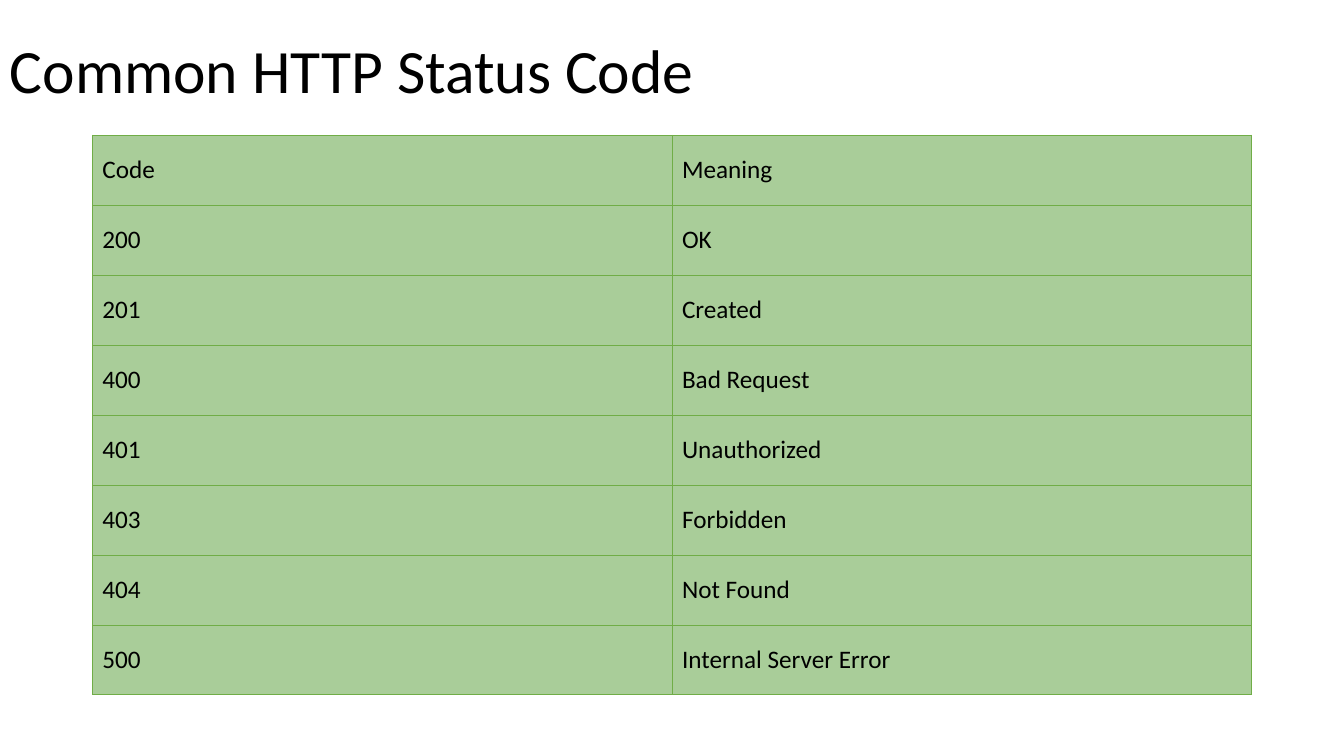
from dataclasses import dataclass

from lxml import etree
from pptx import Presentation
from pptx.dml.color import RGBColor
from pptx.enum.text import MSO_ANCHOR
from pptx.oxml.ns import qn
from pptx.util import Pt

MIDDLE = MSO_ANCHOR.MIDDLE
BLANK = 6


@dataclass(frozen=True)
class Theme:
    font: str = "Calibri"
    ink: str = "000000"
    fill: str = "A9CD99"
    line: str = "70AD47"
    rule: float = 0.5
    title: float = 44
    body: float = 18


THEME = Theme()

CODES = [
    ("Code", "Meaning"),
    ("200", "OK"),
    ("201", "Created"),
    ("400", "Bad Request"),
    ("401", "Unauthorized"),
    ("403", "Forbidden"),
    ("404", "Not Found"),
    ("500", "Internal Server Error"),
]


def set_text(frame, text, size):
    frame.text = text
    font = frame.paragraphs[0].runs[0].font
    font.name = THEME.font
    font.size = Pt(size)
    font.color.rgb = RGBColor.from_string(THEME.ink)


def set_edges(cell):
    props = cell._tc.get_or_add_tcPr()
    for spot, side in enumerate(("a:lnL", "a:lnR", "a:lnT", "a:lnB")):
        edge = etree.Element(qn(side), w=str(Pt(THEME.rule)))
        fill = etree.SubElement(edge, qn("a:solidFill"))
        etree.SubElement(fill, qn("a:srgbClr"), val=THEME.line)
        props.insert(spot, edge)


def add_title(slide, text, left, top, width, height):
    box = slide.shapes.add_textbox(Pt(left), Pt(top), Pt(width), Pt(height))
    frame = box.text_frame
    frame.word_wrap = True
    frame.vertical_anchor = MIDDLE
    set_text(frame, text, THEME.title)
    frame.paragraphs[0].line_spacing = 0.9


def add_grid(slide, rows, left, top, width, height):
    frame = slide.shapes.add_table(
        len(rows), len(rows[0]), Pt(left), Pt(top), Pt(width), Pt(height)
    )
    table = frame.table
    for row, texts in enumerate(rows):
        table.rows[row].height = Pt(height / len(rows))
        for col, text in enumerate(texts):
            cell = table.cell(row, col)
            cell.vertical_anchor = MIDDLE
            cell.fill.solid()
            cell.fill.fore_color.rgb = RGBColor.from_string(THEME.fill)
            set_text(cell.text_frame, text, THEME.body)
            set_edges(cell)


def main():
    deck = Presentation()
    deck.slide_width = Pt(960)
    deck.slide_height = Pt(540)
    slide = deck.slides.add_slide(deck.slide_layouts[BLANK])
    add_title(slide, "Common HTTP Status Code", 0, 0, 828, 104.4)
    add_grid(slide, CODES, 66, 96.5, 828, 400)
    deck.save("out.pptx")


if __name__ == "__main__":
    main()
